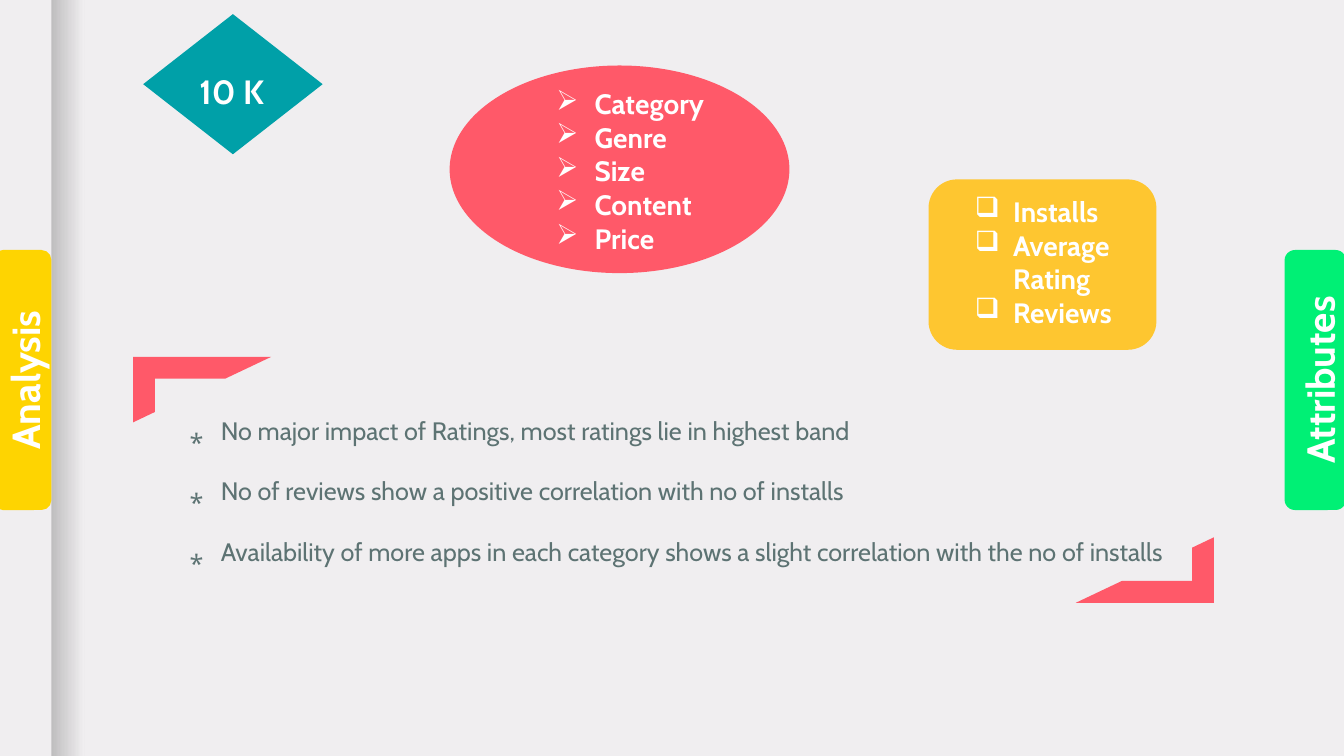
from lxml import etree
from pptx import Presentation
from pptx.dml.color import RGBColor
from pptx.enum.shapes import MSO_SHAPE
from pptx.enum.text import MSO_ANCHOR, MSO_AUTO_SIZE, PP_ALIGN
from pptx.oxml.ns import qn
from pptx.util import Inches, Pt

DIAMOND, OVAL, RECT = MSO_SHAPE.DIAMOND, MSO_SHAPE.OVAL, MSO_SHAPE.RECTANGLE
ROUND, FRAME = MSO_SHAPE.ROUNDED_RECTANGLE, MSO_SHAPE.HALF_FRAME
LEFT, CENTER = PP_ALIGN.LEFT, PP_ALIGN.CENTER
TOP, FIXED = MSO_ANCHOR.TOP, MSO_AUTO_SIZE.NONE

PAPER = RGBColor(0xF0, 0xEE, 0xF0)
SHADE = RGBColor(0xBF, 0xBE, 0xBF)
WHITE = RGBColor(0xFF, 0xFF, 0xFF)
SLATE = RGBColor(0x5D, 0x73, 0x73)
GREEN = RGBColor(0x00, 0xF0, 0x75)
YELLOW = RGBColor(0xFE, 0xD4, 0x01)
AMBER = RGBColor(0xFE, 0xC6, 0x30)
CORAL = RGBColor(0xFF, 0x59, 0x69)
TEAL = RGBColor(0x00, 0xA0, 0xA8)
FONT = "Cabin"


def place(shape, x, y, w, h):
    shape.left, shape.top = Inches(x), Inches(y)
    shape.width, shape.height = Inches(w), Inches(h)


def draw(slide, kind, x, y, w, h, color):
    shape = slide.shapes.add_shape(kind, Inches(x), Inches(y), Inches(w), Inches(h))
    shape.shadow.inherit = False
    shape.fill.solid()
    shape.fill.fore_color.rgb = color
    shape.line.fill.background()
    return shape


def write(slide, lines, x, y, w, h, size=20, color=WHITE, bold=True,
          align=LEFT, spacing=1.0, bullet=None, indent=0.38, turn=0, holder=None):
    box = holder
    if box is None:
        box = slide.shapes.add_textbox(0, 0, 0, 0)
    else:
        slide.shapes._spTree.append(box._element)  # bring to front
    place(box, x, y, w, h)
    box.rotation = turn
    frame = box.text_frame
    frame.word_wrap = True
    frame.auto_size = FIXED
    frame.vertical_anchor = TOP
    for i, line in enumerate(lines):
        para = frame.paragraphs[0] if i == 0 else frame.add_paragraph()
        para.text = line
        if bullet:
            props = para._p.get_or_add_pPr()
            props.set("marL", str(Inches(indent)))
            props.set("indent", str(-Inches(indent)))
            etree.SubElement(props, qn("a:buChar")).set("char", bullet)
        para.alignment = align
        para.line_spacing = spacing
        para.space_before = Pt(0)
        font = para.font
        font.name, font.size, font.bold = FONT, Pt(size), bold
        font.color.rgb = color


def edge(slide, x, y, w, h):
    # Soft shade cast by the left page
    strip = draw(slide, RECT, x, y, w, h, PAPER)
    strip.fill.gradient()
    strip.fill.gradient_angle = 0
    for stop, color in zip(strip.fill.gradient_stops, (SHADE, PAPER)):
        stop.color.rgb = color


def tab(slide, name, x, y, w, h, color, mid, holder=None):
    # Side tab with its name turned to read upward
    draw(slide, ROUND, x, y, w, h, color).adjustments[0] = 0.17
    deep = 0.6
    write(slide, [name], mid - h / 2, y + h / 2 - deep / 2, h, deep,
          size=28, align=CENTER, turn=270, holder=holder)


def notes(slide, lines, x, y, w, h, holder):
    # Findings between two corner frames
    wide, high = 1.37, 0.65
    write(slide, lines, x + 0.46, y + 0.23, 10.04, 1.83, size=18, color=SLATE,
          bold=False, spacing=2.0, bullet="⁎", indent=0.31, holder=holder)
    draw(slide, FRAME, x, y, wide, high, CORAL)
    draw(slide, FRAME, x + w - wide, y + h - high, wide, high, CORAL).rotation = 180


def count(slide, text, x, y, w, h):
    # Diamond with the sample size
    draw(slide, DIAMOND, x, y, w, h, TEAL)
    write(slide, [text], x + 0.46, y + 0.11, 0.88, 0.79, size=24, spacing=2.0)


def group(slide, kind, lines, x, y, w, h, color, bullet, dx, dy):
    # Filled shape holding a bullet list
    draw(slide, kind, x, y, w, h, color)
    write(slide, lines, x + dx, y + dy, 2.2, h - 2 * dy, bullet=bullet)


def main():
    deck = Presentation()
    deck.slide_width, deck.slide_height = Inches(13.33), Inches(7.5)
    slide = deck.slides.add_slide(deck.slide_layouts[1])
    slide.background.fill.solid()
    slide.background.fill.fore_color.rgb = PAPER
    title, body = slide.placeholders[0], slide.placeholders[1]

    edge(slide, 0.51, 0, 0.33, 7.5)
    tab(slide, "Attributes", 12.74, 2.48, 0.61, 2.58, GREEN, 13.1)
    tab(slide, "Analysis", -0.07, 2.48, 0.58, 2.58, YELLOW, 0.26, title)
    notes(slide, [
        "No major impact of Ratings, most ratings lie in highest band",
        "No of reviews show a positive correlation with no of installs",
        "Availability of more apps in each category shows a slight "
        "correlation with the no of installs",
    ], 1.32, 3.54, 10.72, 2.44, body)
    count(slide, "10 K", 1.42, 0.14, 1.78, 1.39)
    group(slide, OVAL, ["Category", "Genre", "Size", "Content", "Price"],
          4.46, 0.65, 3.37, 2.06, CORAL, "➢", 0.96, 0.16)
    group(slide, ROUND, ["Installs", "Average Rating", "Reviews"],
          9.21, 1.78, 2.26, 1.69, AMBER, "❑", 0.36, 0.1)
    deck.save("out.pptx")


if __name__ == "__main__":
    main()
